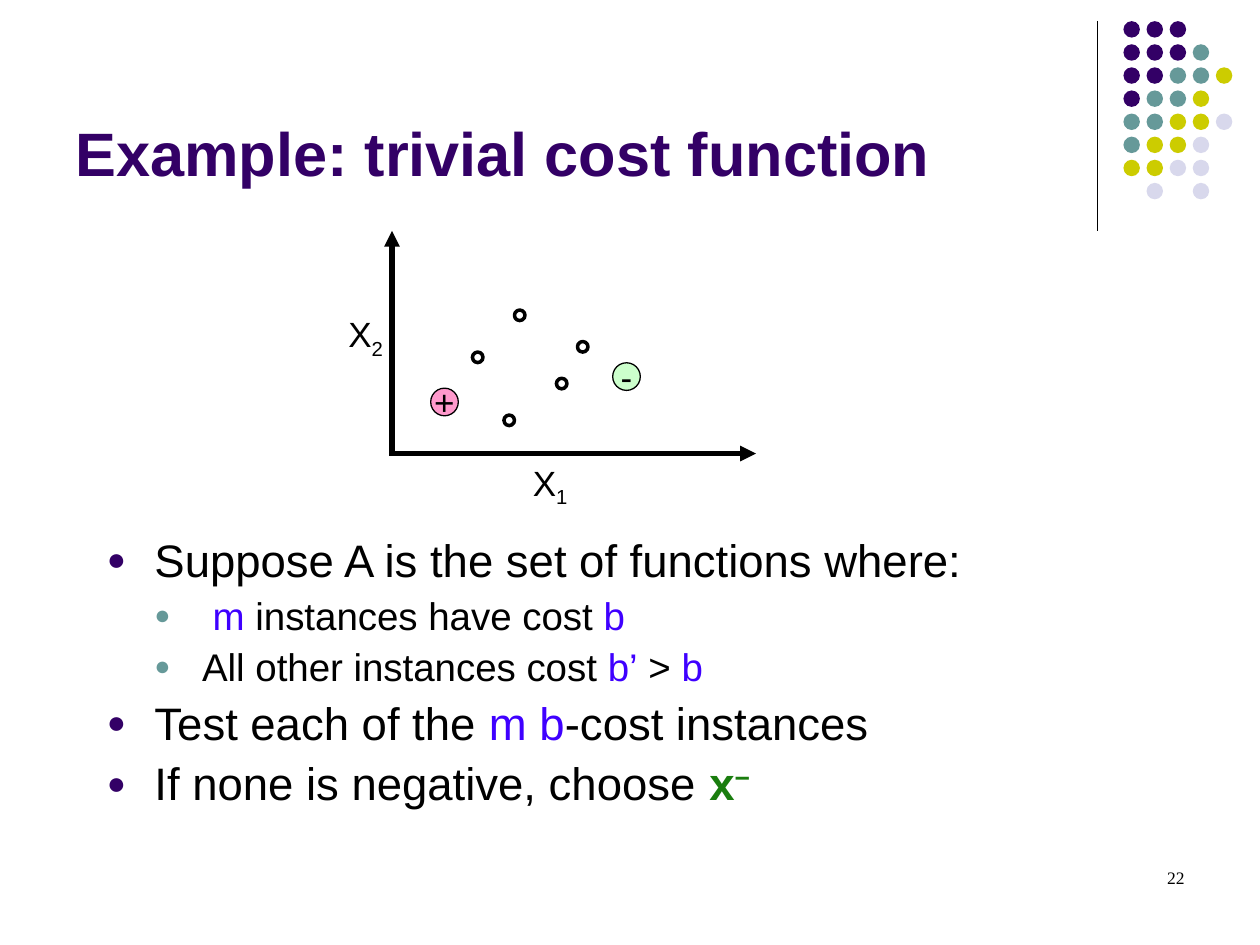
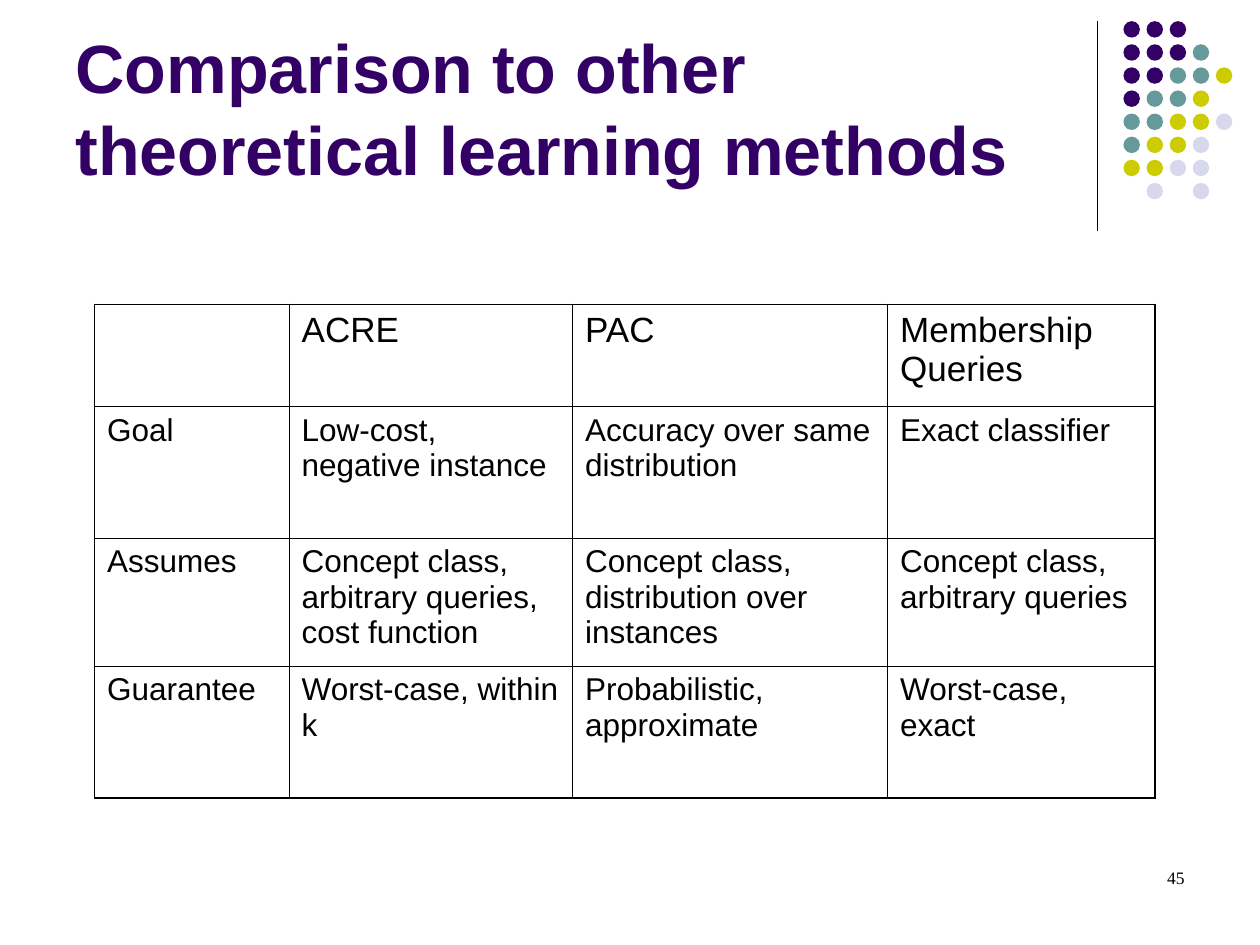
from dataclasses import dataclass

from lxml.etree import SubElement
from pptx import Presentation
from pptx.dml.color import RGBColor as RGB
from pptx.enum.shapes import MSO_CONNECTOR as Link, MSO_SHAPE as Preset
from pptx.enum.text import MSO_ANCHOR as Anchor, MSO_AUTO_SIZE as Fit, PP_ALIGN as Align
from pptx.oxml import parse_xml
from pptx.oxml.ns import nsdecls, qn
from pptx.util import Pt


@dataclass(frozen=True)
class Theme:
    purple: str = "330066"
    teal: str = "669999"
    olive: str = "CCCC00"
    lilac: str = "D8D8EC"
    black: str = "000000"
    blue: str = "3F00FF"
    green: str = "1A7D0E"
    mint: str = "CCFFCC"
    pink: str = "FF99CC"
    sans: str = "Arial"
    serif: str = "Times New Roman"
    bullet_sizes: tuple = (26, 22)
    label_size: int = 20
    cell_size: int = 18
    number_size: int = 10


THEME = Theme()

# Rows of the corner ornament, one letter per dot
DOT_ROWS = ("PPP", "PPPT", "PPTTY", "PTTY", "TTYYL", "TYYL", "YYLL", " L L")
DOT_COLORS = {"P": THEME.purple, "T": THEME.teal, "Y": THEME.olive, "L": THEME.lilac}

# Text runs: (text, style)
RUN_STYLES = {
    "plain": dict(color=THEME.black),
    "symbol": dict(color=THEME.blue),
    "instance": dict(color=THEME.green, bold=True),
    "superscript": dict(color=THEME.green, bold=True, baseline=30000),
    "subscript": dict(color=THEME.black, baseline=-25000),
}
COST_BULLETS = (
    (0, [("Suppose A is the set of functions where:", "plain")]),
    (1, [(" ", "plain"), ("m", "symbol"), (" instances have cost ", "plain"),
         ("b", "symbol")]),
    (1, [("All other instances cost ", "plain"), ("b’", "symbol"),
         (" > ", "plain"), ("b", "symbol")]),
    (0, [("Test each of the ", "plain"), ("m b", "symbol"),
         ("-cost instances", "plain")]),
    (0, [("If none is negative, choose ", "plain"), ("x", "instance"),
         ("−", "superscript")]),
)

# Positions right of and above the axis origin
UNLABELED = ((73, 79), (49, 55), (109, 61), (67, 19), (97, 40))
LABELED = (("-", 134, 44, THEME.mint), ("+", 30, 29.5, THEME.pink))

METHODS = (
    ("", "ACRE", "PAC", "Membership Queries"),
    ("Goal", "Low-cost, negative instance", "Accuracy over same distribution",
     "Exact classifier"),
    ("Assumes", "Concept class, arbitrary queries, cost function",
     "Concept class, distribution over instances",
     "Concept class, arbitrary queries"),
    ("Guarantee", "Worst-case, within k", "Probabilistic, approximate",
     "Worst-case, exact"),
)
METHOD_WIDTHS = (111.2, 162, 180, 152.8)
METHOD_HEIGHTS = (58.3, 75.2, 73.2, 75.3)


def style_font(font, size, color=THEME.black, name=THEME.sans, bold=False):
    font.size, font.name, font.bold = Pt(size), name, bold
    font.color.rgb = RGB.from_string(color)


def add_runs(paragraph, runs):
    for text, style in runs:
        look = RUN_STYLES[style]
        run = paragraph.add_run()
        run.text = text
        run.font.color.rgb = RGB.from_string(look["color"])
        if look.get("bold"):
            run.font.bold = True
        if "baseline" in look:
            run.font._element.set("baseline", str(look["baseline"]))


def add_box(slide, box, wrap=True):
    frame = slide.shapes.add_textbox(*map(Pt, box)).text_frame
    frame.word_wrap = wrap
    return frame


def add_line(slide, start, end, width, arrow=False):
    line = slide.shapes.add_connector(Link.STRAIGHT, *map(Pt, (*start, *end)))
    line.line.width = Pt(width)
    line.line.color.rgb = RGB.from_string(THEME.black)
    if arrow:
        SubElement(line.line._get_or_add_ln(), qn("a:tailEnd"), type="triangle")
    SubElement(line._element.spPr, qn("a:effectLst"))


def add_circle(slide, center, size, fill=None, outline=None):
    x, y = center
    circle = slide.shapes.add_shape(
        Preset.OVAL, *map(Pt, (x - size / 2, y - size / 2, size, size)))
    circle.shadow.inherit = False
    if fill:
        circle.fill.solid()
        circle.fill.fore_color.rgb = RGB.from_string(fill)
    else:
        circle.fill.background()
    if outline:
        circle.line.width = Pt(outline)
        circle.line.color.rgb = RGB.from_string(THEME.black)
    else:
        circle.line.fill.background()
    return circle


def add_corner_dots(slide, left, top):
    """Vertical rule with the dot ornament to its right."""
    add_line(slide, (left, top), (left, top + 120), 0.75)
    pitch, size = 13.2, 9.4
    for row, letters in enumerate(DOT_ROWS):
        for column, letter in enumerate(letters):
            if letter in DOT_COLORS:
                center = (left + 19.7 + column * pitch, top + 4.8 + row * pitch)
                add_circle(slide, center, size, DOT_COLORS[letter])


def start_slide(deck, title, title_size, number):
    """Blank slide with ornament, title and slide number."""
    slide = deck.slides.add_slide(deck.slide_layouts[6])
    add_corner_dots(slide, 627, 12)

    heading = add_box(slide, (36, 9.4, 594, 102.2))
    heading.vertical_anchor = Anchor.BOTTOM
    heading.text = title
    style_font(heading.paragraphs[0].font, title_size, THEME.purple, bold=True)

    footer = add_box(slide, (516, 492, 168, 36))
    footer.text = str(number)
    footer.paragraphs[0].alignment = Align.RIGHT
    style_font(footer.paragraphs[0].font, THEME.number_size, name=THEME.serif)
    return slide


def add_bullets(slide, box, bullets, top_inset):
    frame = add_box(slide, box)
    frame.margin_top = Pt(top_inset)
    for index, (level, runs) in enumerate(bullets):
        paragraph = frame.paragraphs[0] if index == 0 else frame.add_paragraph()
        paragraph.level = level
        paragraph.line_spacing = 0.9
        paragraph.space_before = Pt((6.5, 5.5)[level])
        style_font(paragraph.font, THEME.bullet_sizes[level])
        add_runs(paragraph, runs)

        # Hanging bullet mark
        props = paragraph._p.get_or_add_pPr()
        indent = Pt(27.2)
        props.set("marL", str(indent * (level + 1)))
        props.set("indent", str(-indent))
        color = (THEME.purple, THEME.teal)[level]
        marks = (f'<a:buClr {nsdecls("a")}><a:srgbClr val="{color}"/></a:buClr>',
                 f'<a:buSzPct {nsdecls("a")} val="70000"/>',
                 f'<a:buFont {nsdecls("a")} typeface="{THEME.sans}"/>',
                 f'<a:buChar {nsdecls("a")} char="●"/>')
        default_font = props.find(qn("a:defRPr"))
        for mark in marks:
            default_font.addprevious(parse_xml(mark))


def add_axis_label(slide, left, top, index):
    frame = add_box(slide, (left, top, 36, 34.6), wrap=False)
    frame.auto_size = Fit.SHAPE_TO_FIT_TEXT
    label = frame.paragraphs[0]
    style_font(label.font, THEME.label_size)
    add_runs(label, [("X", "plain"), (index, "subscript")])


def add_instance_plot(slide, left, top):
    """Feature space with labeled and unlabeled instances."""
    origin_x, origin_y = left + 32, top + 127.2

    # Axes
    add_line(slide, (origin_x, origin_y), (origin_x, top), 3, arrow=True)
    add_line(slide, (origin_x - 1.5, origin_y), (left + 240, origin_y), 3, arrow=True)
    add_axis_label(slide, left + 105.4, origin_y + 0.8, "1")
    add_axis_label(slide, left, top + 43, "2")

    # Instances
    for dx, dy in UNLABELED:
        add_circle(slide, (origin_x + dx, origin_y - dy), 6, outline=2)
    for sign, dx, dy, fill in LABELED:
        marker = add_circle(slide, (origin_x + dx, origin_y - dy), 15.8, fill, 0.75)
        frame = marker.text_frame
        frame.word_wrap = False
        frame.vertical_anchor = Anchor.MIDDLE
        frame.text = sign
        frame.paragraphs[0].alignment = Align.CENTER
        style_font(frame.paragraphs[0].font, THEME.label_size)


def set_borders(cell, widths):
    props = cell._tc.get_or_add_tcPr()
    for position, (side, width) in enumerate(widths.items()):
        props.insert(position, parse_xml(
            f'<a:ln{side} {nsdecls("a")} w="{Pt(width)}"><a:solidFill>'
            f'<a:srgbClr val="{THEME.black}"/></a:solidFill></a:ln{side}>'))


def add_methods_table(slide, left, top):
    box = (left, top, sum(METHOD_WIDTHS), sum(METHOD_HEIGHTS))
    last_row, last_column = len(METHODS) - 1, len(METHODS[0]) - 1
    table = slide.shapes.add_table(
        last_row + 1, last_column + 1, *map(Pt, box)).table
    table.first_row = table.horz_banding = False
    for column, width in zip(table.columns, METHOD_WIDTHS):
        column.width = Pt(width)
    for row, height in zip(table.rows, METHOD_HEIGHTS):
        row.height = Pt(height)

    inner, outer = 0.45, 1.08
    for r, texts in enumerate(METHODS):
        for c, text in enumerate(texts):
            cell = table.cell(r, c)
            cell.fill.background()
            cell.text = text
            style_font(cell.text_frame.paragraphs[0].font,
                       THEME.cell_size if r else THEME.label_size)
            set_borders(cell, {
                "L": inner if c else outer,
                "R": outer if c == last_column else inner,
                "T": inner if r else outer,
                "B": outer if r == last_row else inner,
            })


def build_cost_slide(deck):
    slide = start_slide(deck, "Example: trivial cost function", 35, 22)
    add_bullets(slide, (54, 162, 612, 324), COST_BULLETS, top_inset=145.5)
    add_instance_plot(slide, 192, 132)


def build_comparison_slide(deck):
    slide = start_slide(
        deck, "Comparison to other theoretical learning methods", 39, 45)
    add_methods_table(slide, 54, 174)


def main():
    deck = Presentation()
    deck.slide_width, deck.slide_height = Pt(720), Pt(540)
    build_cost_slide(deck)
    build_comparison_slide(deck)
    deck.save("out.pptx")


if __name__ == "__main__":
    main()
